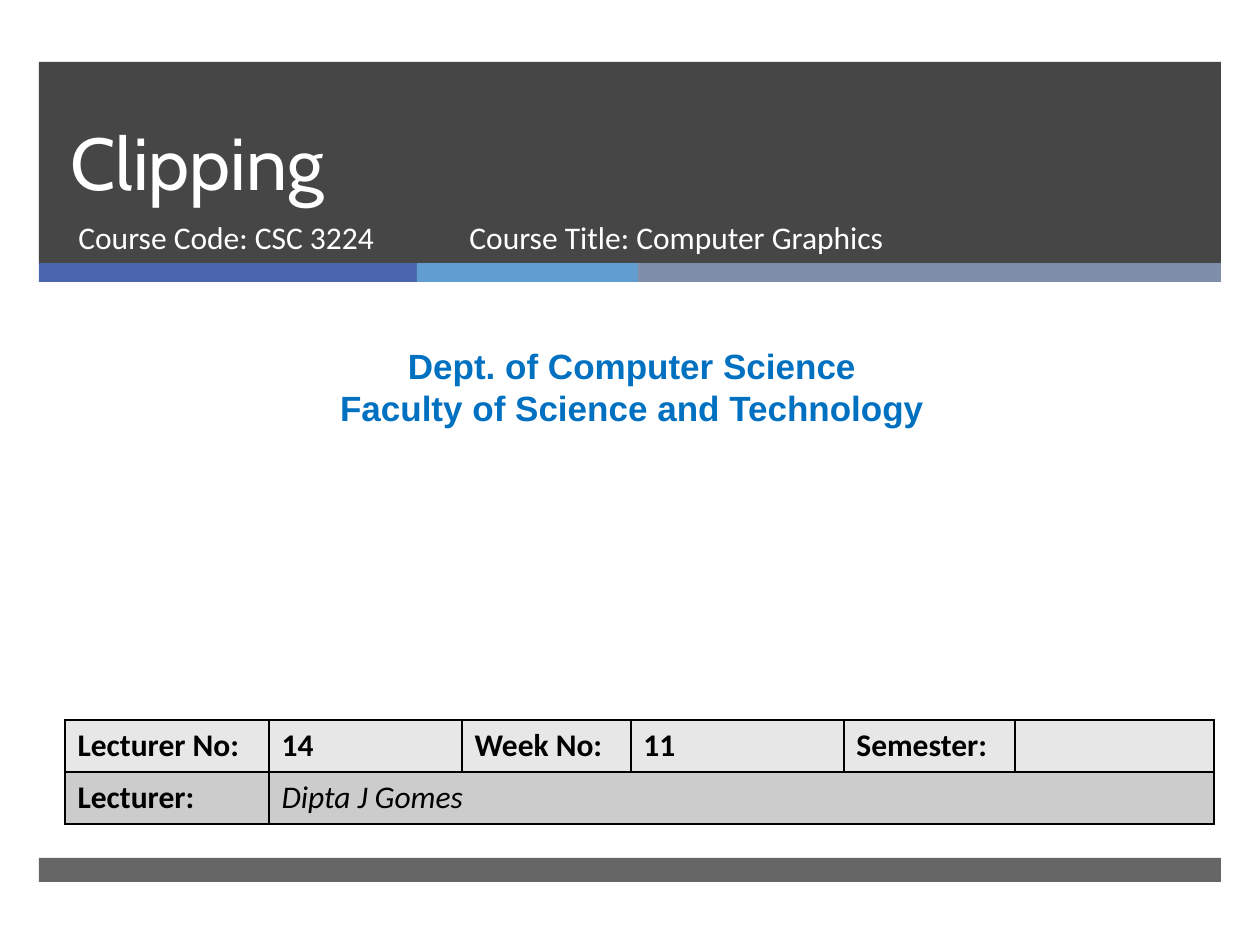
from lxml.etree import SubElement
from pptx import Presentation
from pptx.dml.color import RGBColor
from pptx.enum.shapes import MSO_SHAPE
from pptx.enum.text import MSO_ANCHOR, PP_ALIGN
from pptx.oxml.ns import qn
from pptx.util import Pt

SCALE = 914400 / 126


def lengths(*pixels):
    return [round(pixel * SCALE) for pixel in pixels]


def color(value):
    return RGBColor.from_string(value)


presentation = Presentation()
presentation.slide_width, presentation.slide_height = lengths(1260, 945)
slide = presentation.slides.add_slide(presentation.slide_layouts[5])
shapes = slide.shapes

bars = [
    (39, 62, 1182, 202, "262626", 85),
    (39, 263, 378, 19, "4A66AC", 100),
    (417, 263, 221, 19, "629DD1", 100),
    (638, 263, 583, 19, "7F8FA9", 100),
    (39, 858, 1182, 24, "262626", 70),
]
for left, top, width, height, fill, opacity in bars:
    bar = shapes.add_shape(MSO_SHAPE.RECTANGLE, *lengths(left, top, width, height))
    bar.shadow.inherit = False
    bar.line.fill.background()
    bar.fill.solid()
    bar.fill.fore_color.rgb = color(fill)
    if opacity < 100:
        fill_color = bar.element.spPr.find(qn("a:solidFill"))[0]
        SubElement(fill_color, qn("a:alpha"), val=str(opacity * 1000))

title = shapes.title
shapes.element.append(title.element)
title.left, title.top, title.width, title.height = lengths(58, 62, 1076, 150)
title.text_frame.text = "Clipping"
title.text_frame.vertical_anchor = MSO_ANCHOR.BOTTOM
paragraph = title.text_frame.paragraphs[0]
paragraph.alignment = PP_ALIGN.LEFT
paragraph.line_spacing = Pt(46)
paragraph.font.name = "Cabin"
paragraph.font.size = Pt(42)
paragraph.font.color.rgb = color("FFFFFF")

department = "Dept. of Computer Science\nFaculty of Science and Technology"
texts = [
    (66, 212, 384, 67, "Course Code: CSC 3224", "Calibri", 18, "FFFFFF", False, PP_ALIGN.LEFT),
    (457, 212, 573, 67, "Course Title: Computer Graphics", "Calibri", 18, "FFFFFF", False, PP_ALIGN.LEFT),
    (10, 338, 1244, 97, department, "Arial", 20, "0070C0", True, PP_ALIGN.CENTER),
]
for left, top, width, height, text, font, size, text_color, bold, alignment in texts:
    box = shapes.add_textbox(*lengths(left, top, width, height))
    box.text_frame.word_wrap = True
    box.text_frame.text = text
    for paragraph in box.text_frame.paragraphs:
        paragraph.alignment = alignment
        paragraph.font.name = font
        paragraph.font.size = Pt(size)
        paragraph.font.bold = bold
        paragraph.font.color.rgb = color(text_color)

rows = [
    ["Lecturer No:", "14", "Week No:", "11", "Semester:", ""],
    ["Lecturer:", "Dipta J Gomes", "", "", "", ""],
]
row_fills = ["E7E7E7", "CCCCCC"]
column_widths = lengths(204, 193, 169, 213, 171, 199)
table = shapes.add_table(2, 6, *lengths(65, 720, 1149, 104)).table
for column, width in zip(table.columns, column_widths):
    column.width = width
for row_index, row in enumerate(rows):
    for column_index, text in enumerate(row):
        cell = table.cell(row_index, column_index)
        cell.text = text
        properties = cell._tc.get_or_add_tcPr()
        for side in ("lnL", "lnR", "lnT", "lnB"):
            border = SubElement(properties, qn(f"a:{side}"), w=str(Pt(1)))
            border_fill = SubElement(border, qn("a:solidFill"))
            SubElement(border_fill, qn("a:srgbClr"), val="000000")
        cell.fill.solid()
        cell.fill.fore_color.rgb = color(row_fills[row_index])
        is_name = row_index == 1 and column_index == 1
        font = cell.text_frame.paragraphs[0].font
        font.name = "Calibri"
        font.size = Pt(18)
        font.bold = not is_name
        font.italic = is_name
        font.color.rgb = color("000000")
table.cell(1, 1).merge(table.cell(1, 5))

presentation.save("out.pptx")
